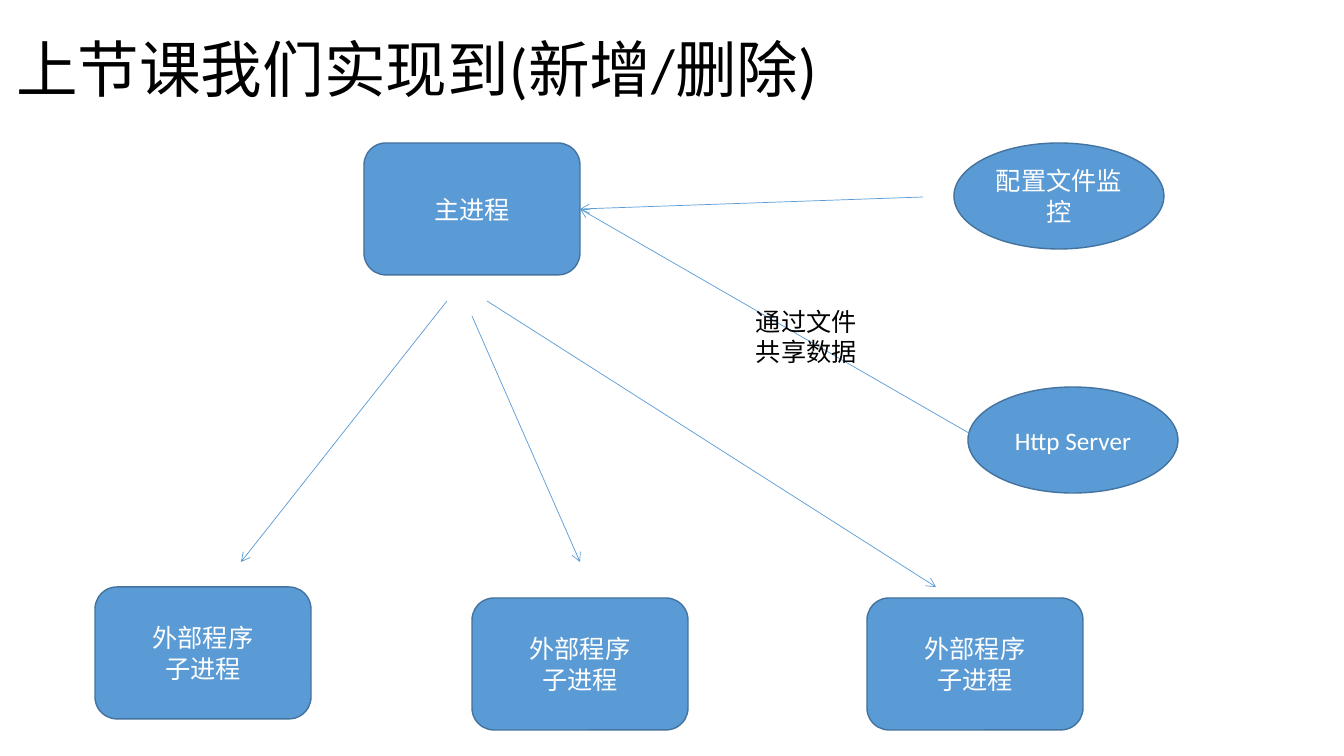
from dataclasses import dataclass

from lxml.etree import SubElement
from pptx import Presentation
from pptx.dml.color import RGBColor
from pptx.enum.shapes import MSO_CONNECTOR, MSO_SHAPE
from pptx.enum.text import MSO_ANCHOR, PP_ALIGN
from pptx.oxml.ns import qn
from pptx.util import Pt

EMU_PER_PX = 914400 / 100.8


@dataclass(frozen=True)
class Theme:
    """Colours, font and sizes of the slide."""
    fill: RGBColor = RGBColor(0x5B, 0x9B, 0xD5)
    edge: RGBColor = RGBColor(0x43, 0x73, 0x9E)
    dark: RGBColor = RGBColor(0, 0, 0)
    light: RGBColor = RGBColor(255, 255, 255)
    font: str = "Calibri"
    title: int = 44
    body: int = 18
    edge_width: float = 1
    arrow_width: float = 0.5


THEME = Theme()


def px(*values):
    """Turn pixels into EMU."""
    return [round(v * EMU_PER_PX) for v in values]


def write(tf, lines, size, color, align):
    """Fill a text frame with one paragraph per line."""
    tf.word_wrap = True
    for i, line in enumerate(lines):
        p = tf.add_paragraph() if i else tf.paragraphs[0]
        p.alignment = align
        r = p.add_run()
        r.text = line
        r.font.name = THEME.font
        r.font.size = Pt(size)
        r.font.color.rgb = color


def add_title(s, box, text):
    """Place and format the title placeholder."""
    sp = s.shapes.title
    sp.left, sp.top, sp.width, sp.height = px(*box)
    tf = sp.text_frame
    write(tf, [text], THEME.title, THEME.dark, PP_ALIGN.JUSTIFY)
    tf.vertical_anchor = MSO_ANCHOR.MIDDLE
    tf.paragraphs[0].line_spacing = 0.9


def add_node(s, kind, box, *lines):
    """Draw a filled node with centred text."""
    sp = s.shapes.add_shape(kind, *px(*box))
    sp.shadow.inherit = False
    sp.fill.solid()
    sp.fill.fore_color.rgb = THEME.fill
    sp.line.color.rgb = THEME.edge
    sp.line.width = Pt(THEME.edge_width)
    sp.text_frame.vertical_anchor = MSO_ANCHOR.MIDDLE
    write(sp.text_frame, lines, THEME.body, THEME.light, PP_ALIGN.CENTER)
    return sp


def add_arrow(s, start, end):
    """Draw a thin line with an open arrowhead at its end."""
    c = s.shapes.add_connector(MSO_CONNECTOR.STRAIGHT, *px(*start, *end))
    c.line.color.rgb = THEME.fill
    c.line.width = Pt(THEME.arrow_width)
    SubElement(c.line._get_or_add_ln(), qn("a:tailEnd"), type="arrow")
    SubElement(c._element.spPr, qn("a:effectLst"))
    return c


def add_label(s, box, text):
    """Add a plain dark label."""
    sp = s.shapes.add_textbox(*px(*box))
    write(sp.text_frame, [text], THEME.body, THEME.dark, PP_ALIGN.LEFT)


def add_children(s, box):
    """Draw the child processes and the arrows that lead to them."""
    x, y, _, h = box
    for left, drop, start, end in (
        (0, 0, (352, 0), (146, 261)),
        (377, 11, (377, 15), (485, 261)),
        (772, 11, (392, 0), (841, 286)),
    ):
        node = (x + left, y + h - 143 + drop, 216, 132)
        add_node(s, MSO_SHAPE.ROUNDED_RECTANGLE, node, "外部程序", "子进程")
        add_arrow(s, (x + start[0], y + start[1]), (x + end[0], y + end[1]))


def add_sources(s, box, main):
    """Draw the config monitor and the server, both feeding the main process."""
    x, y, w, _ = box
    size = (210, 106)
    add_node(s, MSO_SHAPE.OVAL, (x + w - 224, y, *size), "配置文件监控")
    server = add_node(s, MSO_SHAPE.OVAL, (x + w - 210, y + 244, *size), "Http Server")
    for start in ((x + 343, y + 54), (x + w - 210, y + 297)):
        c = add_arrow(s, start, (x, y + 66))
        c.end_connect(main, 3)
    c.begin_connect(server, 2)
    add_label(s, (x + 166, y + 158, 121, 102), "通过文件共享数据")


def build_process_slide(prs, box):
    """Build the process diagram slide inside the given box."""
    s = prs.slides.add_slide(prs.slide_layouts[5])
    x, y, _, _ = box
    add_title(s, (x + 6, y, 1159, 146), "上节课我们实现到(新增/删除)")
    main = add_node(s, MSO_SHAPE.ROUNDED_RECTANGLE, (x + 364, y + 143, 216, 132), "主进程")
    add_children(s, (x + 95, y + 301, 988, 429))
    add_sources(s, (x + 580, y + 143, 598, 350), main)


prs = Presentation()
prs.slide_width, prs.slide_height = px(1344, 756)
build_process_slide(prs, (0, 0, 1344, 756))
prs.save("out.pptx")
